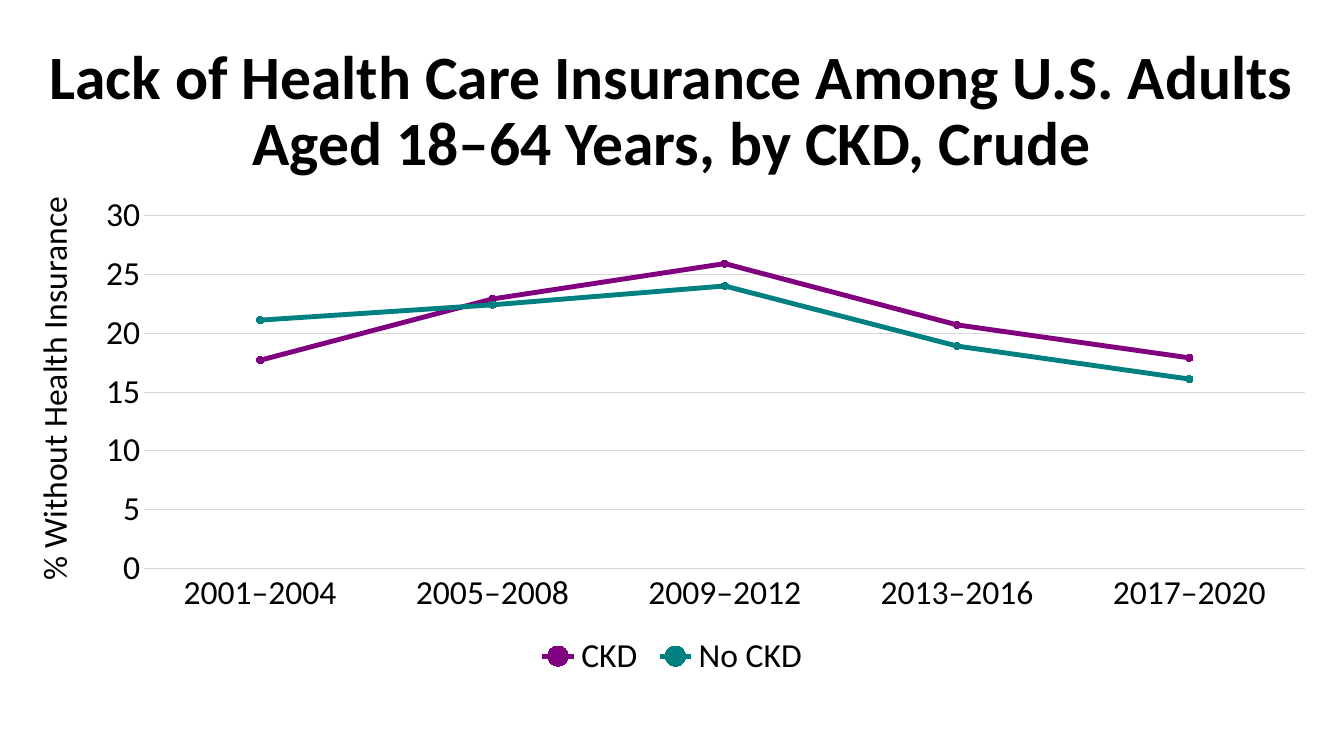
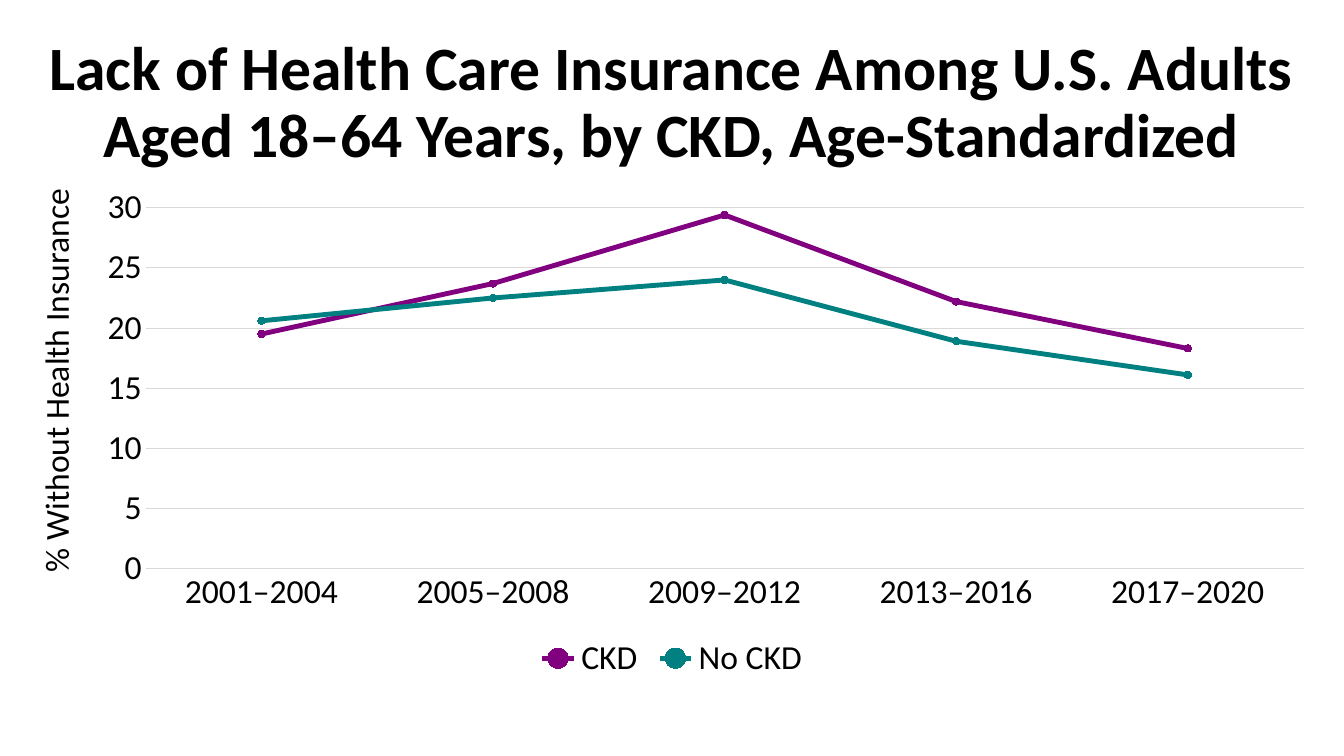
from lxml import etree
from pptx import Presentation
from pptx.chart.data import CategoryChartData
from pptx.dml.color import RGBColor
from pptx.enum.chart import (XL_CHART_TYPE as CHART, XL_LEGEND_POSITION as LEGEND,
                             XL_MARKER_STYLE as MARKER, XL_TICK_MARK as TICK)
from pptx.enum.text import MSO_ANCHOR, MSO_AUTO_SIZE, PP_ALIGN
from pptx.oxml.ns import qn
from pptx.util import Inches, Pt

# Shared style
COLORS = {"text": "000000", "grid": "D9D9D9", "CKD": "800080", "No CKD": "008080"}
FONT = "Calibri"
SLIDE_W, SLIDE_H = Inches(13.33), Inches(7.5)
TITLE_H = 19.33  # percent of slide height
TITLE_ONLY = 5

# Content; widths and tops are percentages of the slide's size
PERIODS = ["2001–2004", "2005–2008", "2009–2012", "2013–2016", "2017–2020"]
AXIS_TITLE = "% Without Health Insurance"
TITLE = "Lack of Health Care Insurance Among U.S. Adults Aged 18–64 Years, by CKD, "
SLIDES = [
    {"measure": "Crude", "title_w": 96.1, "chart_w": 98.2, "top": 5.2, "bottom": 90.4,
     "rates": {"CKD": [17.7, 22.9, 25.9, 20.7, 17.9],
               "No CKD": [21.1, 22.4, 24, 18.9, 16.1]}},
    {"measure": "Age-Standardized", "title_w": 94.45, "chart_w": 97.9, "top": 4.13,
     "bottom": 90.67,
     "rates": {"CKD": [19.5, 23.7, 29.4, 22.2, 18.3],
               "No CKD": [20.6, 22.5, 24, 18.9, 16.1]}},
]


def color(name):
    return RGBColor.from_string(COLORS[name])


def centered_box(width, top, height):
    """Left, top, width and height of a box centred across the slide."""
    return (int(SLIDE_W * (100 - width) / 200), int(SLIDE_H * top / 100),
            int(SLIDE_W * width / 100), int(SLIDE_H * height / 100))


def style_font(font, size, bold=False):
    font.name, font.size, font.bold = FONT, Pt(size), bold
    font.color.rgb = color("text")


def style_line(line, name, width):
    line.color.rgb = color(name)
    line.width = Pt(width)


def set_layout(element, index, **settings):
    """Fix the place of a chart part, in shares of the chart's size."""
    for old in element.findall(qn("c:layout")):
        element.remove(old)
    layout = etree.Element(qn("c:layout"))
    manual = etree.SubElement(layout, qn("c:manualLayout"))
    for tag, value in settings.items():
        etree.SubElement(manual, qn("c:" + tag)).set("val", str(value))
    element.insert(index, layout)


def add_title(s, text, box):
    sp = s.shapes.title
    sp.left, sp.top, sp.width, sp.height = box
    tf = sp.text_frame
    tf.text = text
    tf.word_wrap = True
    tf.auto_size = MSO_AUTO_SIZE.NONE
    tf.vertical_anchor = MSO_ANCHOR.MIDDLE
    p = tf.paragraphs[0]
    p.alignment, p.line_spacing = PP_ALIGN.CENTER, 0.9
    style_font(p.runs[0].font, 44, bold=True)


def style_axes(chart):
    cat, val = chart.category_axis, chart.value_axis
    for axis in (cat, val):
        axis.major_tick_mark = axis.minor_tick_mark = TICK.NONE
        style_font(axis.tick_labels.font, 24)
    style_line(cat.format.line, "grid", 0.75)

    val.minimum_scale, val.maximum_scale, val.major_unit = 0, 30, 5
    val.tick_labels.number_format = "0"
    val.tick_labels.number_format_is_linked = False
    val.format.line.fill.background()
    style_line(val.major_gridlines.format.line, "grid", 0.75)

    tf = val.axis_title.text_frame
    tf.text = AXIS_TITLE
    style_font(tf.paragraphs[0].runs[0].font, 24)
    title = val.axis_title._element
    set_layout(title, 1, xMode="edge", yMode="edge", x=0.01, y=0.01)


def add_line_chart(s, rates, box):
    data = CategoryChartData(number_format="0.0")
    data.categories = PERIODS
    for name, values in rates.items():
        data.add_series(name, values)
    chart = s.shapes.add_chart(CHART.LINE_MARKERS, *box, data).chart
    chart.has_title = False
    style_font(chart.font, 10)
    style_axes(chart)

    # Legend
    chart.has_legend = True
    chart.legend.position = LEGEND.BOTTOM
    chart.legend.include_in_layout = False
    style_font(chart.legend.font, 24)

    # Series
    plot = chart.plots[0]
    plot.vary_by_categories = False
    for series in plot.series:
        series.smooth = False
        style_line(series.format.line, series.name, 3.5)
        marker = series.marker
        marker.style, marker.size = MARKER.CIRCLE, 5
        marker.format.fill.solid()
        marker.format.fill.fore_color.rgb = color(series.name)
        style_line(marker.format.line, series.name, 0.75)

    plot_area = chart._chartSpace.find(".//" + qn("c:plotArea"))
    set_layout(plot_area, 0, layoutTarget="inner", xMode="edge", yMode="edge",
               x=0.1, y=0.06, w=0.88, h=0.71)


def main():
    prs = Presentation()
    prs.slide_width, prs.slide_height = SLIDE_W, SLIDE_H
    for item in SLIDES:
        s = prs.slides.add_slide(prs.slide_layouts[TITLE_ONLY])
        add_title(s, TITLE + item["measure"],
                  centered_box(item["title_w"], item["top"], TITLE_H))
        chart_top = item["top"] + TITLE_H
        add_line_chart(s, item["rates"],
                       centered_box(item["chart_w"], chart_top, item["bottom"] - chart_top))
    prs.save("out.pptx")


if __name__ == "__main__":
    main()
